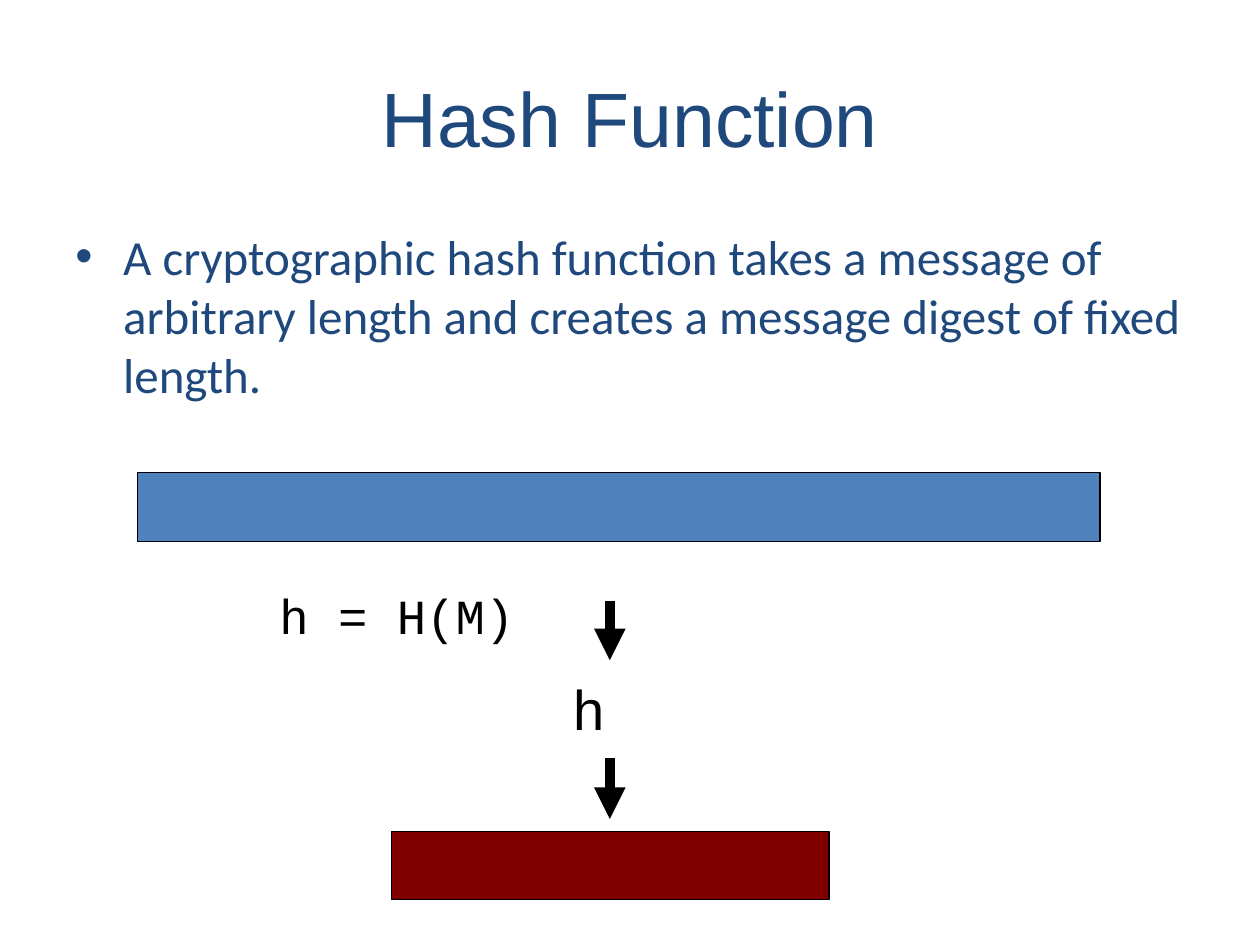
from dataclasses import dataclass

from lxml.etree import SubElement
from pptx import Presentation
from pptx.dml.color import RGBColor
from pptx.enum.shapes import MSO_CONNECTOR as Connector, MSO_SHAPE as Shape
from pptx.enum.text import MSO_ANCHOR as Anchor, PP_ALIGN as Align
from pptx.oxml.ns import qn
from pptx.util import Inches, Pt

NAVY = RGBColor(0x1F, 0x49, 0x7D)
BLUE = RGBColor(0x4F, 0x81, 0xBD)
MAROON = RGBColor(0x80, 0x00, 0x00)
BLACK = RGBColor(0x00, 0x00, 0x00)

COLUMNS, ROWS = 100, 75
WIDTH, HEIGHT = Inches(10), Inches(7.5)


def across(columns: float) -> int:
    return round(WIDTH * columns / COLUMNS)


def down(rows: float) -> int:
    return round(HEIGHT * rows / ROWS)


@dataclass(frozen=True)
class Box:
    """Place on the grid, in columns and rows."""
    column: float
    row: float
    columns: float
    rows: float

    def lengths(self) -> tuple[int, int, int, int]:
        return (across(self.column), down(self.row),
                across(self.columns), down(self.rows))


@dataclass(frozen=True)
class Bar:
    box: Box
    fill: RGBColor


@dataclass(frozen=True)
class Arrow:
    column: float
    start_row: float
    end_row: float


BARS = [
    Bar(Box(10.9, 37.5, 76.4, 5.5), BLUE),    # message
    Bar(Box(31.1, 66, 34.7, 5.4), MAROON),    # digest
]
ARROWS = [Arrow(48.4, 47.7, 52.4), Arrow(48.4, 60.2, 65)]


def add_text(slide, text: str, box: Box, *, font: str, size: float,
             color: RGBColor, align=Align.LEFT, anchor=Anchor.TOP,
             bullet_indent: float = 0) -> None:
    frame = slide.shapes.add_textbox(*box.lengths()).text_frame
    frame.word_wrap = True
    frame.vertical_anchor = anchor
    paragraph = frame.paragraphs[0]
    paragraph.alignment = align
    run = paragraph.add_run()
    run.text = text
    run.font.name = font
    run.font.size = Pt(size)
    run.font.color.rgb = color
    if bullet_indent:
        properties = paragraph._p.get_or_add_pPr()
        properties.set("marL", str(across(bullet_indent)))
        properties.set("indent", str(-across(bullet_indent)))
        SubElement(properties, qn("a:buFont"), typeface="Arial")
        SubElement(properties, qn("a:buChar"), char="•")


def add_bar(slide, bar: Bar) -> None:
    shape = slide.shapes.add_shape(Shape.RECTANGLE, *bar.box.lengths())
    shape.shadow.inherit = False
    shape.fill.solid()
    shape.fill.fore_color.rgb = bar.fill
    shape.line.color.rgb = BLACK
    shape.line.width = Pt(0.75)


def add_arrow(slide, arrow: Arrow) -> None:
    x = across(arrow.column)
    connector = slide.shapes.add_connector(
        Connector.STRAIGHT, x, down(arrow.start_row), x, down(arrow.end_row))
    connector.line.color.rgb = BLACK
    connector.line.width = Pt(6)
    SubElement(connector.line._get_or_add_ln(), qn("a:tailEnd"), type="triangle")
    SubElement(connector._element.spPr, qn("a:effectLst"))


def main() -> None:
    presentation = Presentation()
    presentation.slide_width, presentation.slide_height = WIDTH, HEIGHT
    slide = presentation.slides.add_slide(presentation.slide_layouts[6])

    # Title and definition
    add_text(slide, "Hash Function", Box(5, 3, 90, 12.5), font="Arial", size=44,
             color=NAVY, align=Align.CENTER, anchor=Anchor.MIDDLE)
    add_text(slide, "A cryptographic hash function takes a message of arbitrary "
             "length and creates a message digest of fixed length.",
             Box(5, 17.5, 90, 16), font="Calibri", size=28, color=NAVY,
             bullet_indent=3.8)

    # Message hashed down to a digest
    for bar in BARS:
        add_bar(slide, bar)
    for arrow in ARROWS:
        add_arrow(slide, arrow)
    add_text(slide, "h = H(M)", Box(21.2, 46, 24, 5.4), font="Courier New",
             size=28, color=BLACK)
    add_text(slide, "h", Box(44.5, 53, 7.9, 6.4), font="Arial", size=32,
             color=BLACK, anchor=Anchor.BOTTOM)

    presentation.save("out.pptx")


if __name__ == "__main__":
    main()
